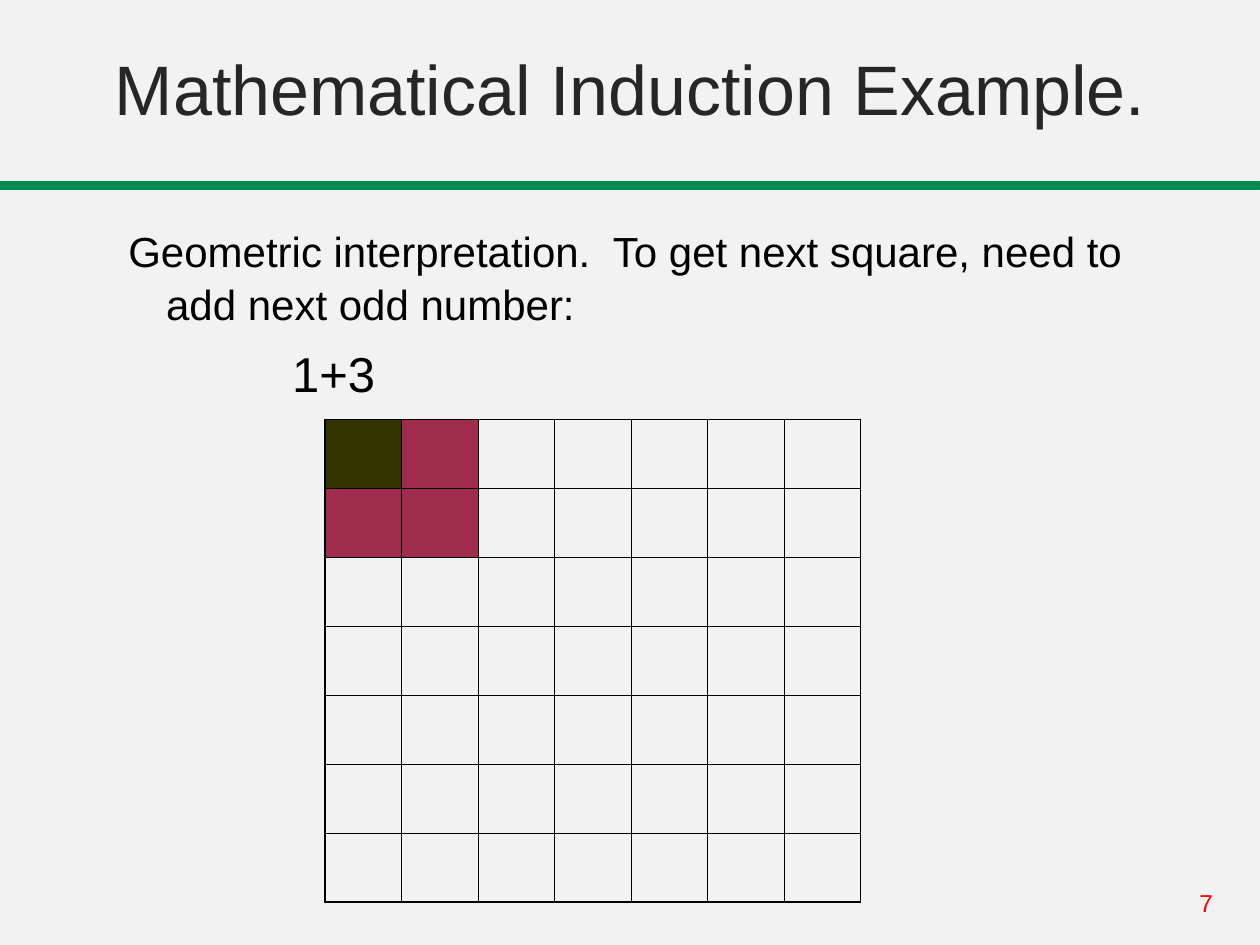
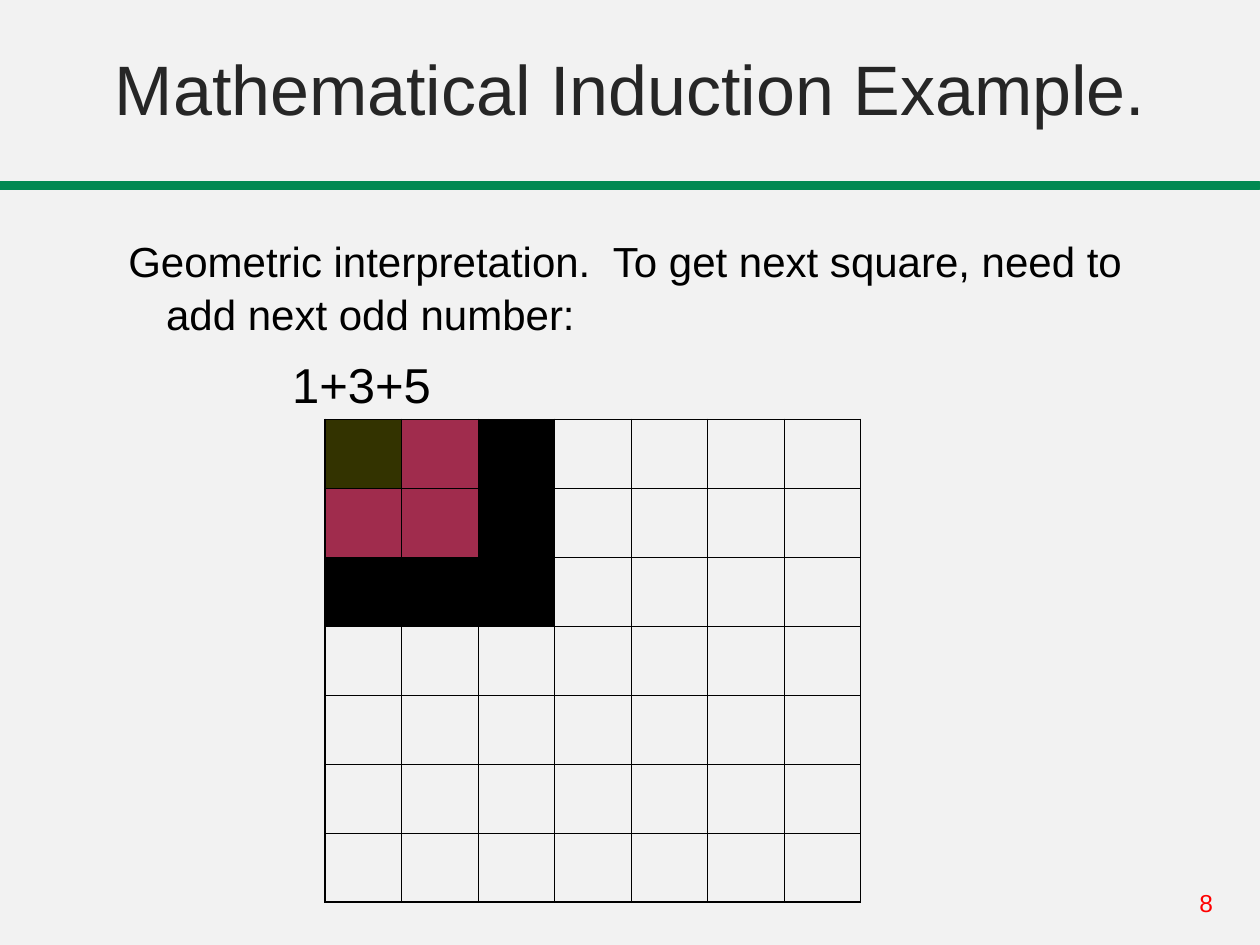
import dataclasses

import lxml.etree
import pptx
import pptx.dml.color
import pptx.enum.shapes
import pptx.enum.text
import pptx.oxml.ns
import pptx.util

PX = 9144  # EMU per px, 100 px to the inch
GRID_SIZE = 7


@dataclasses.dataclass(frozen=True)
class Theme:
    font: str = "Arial"
    background: str = "F2F2F2"
    band: str = "018952"
    title: str = "262626"
    body: str = "000000"
    page_number: str = "FF0000"
    grid_line: str = "000000"
    odd_numbers: tuple = ("333300", "A02C4D", "000000")
    title_size: int = 40
    body_size: int = 24
    sum_size: int = 28
    page_number_size: int = 14
    band_line: float = 1.75
    inner_line: float = 0.45
    outer_line: float = 1.08
    line_spacing: float = 1.05


THEME = Theme()
SLIDE_SIZE = (1000, 750)
TITLE_BOX = (0, 0, 1000, 108)
BAND_BOX = (0, 145, 1000, 5)
BODY_BOX = (92, 150, 825, 292)
GRID_BOX = (258, 333, 425, 383)
PAGE_NUMBER_BOX = (942, 700, 58, 34)


def emu(lengths):
    return [length * PX for length in lengths]


def rgb(colour):
    return pptx.dml.color.RGBColor.from_string(colour)


def add_text_frame(slide, box, anchor=pptx.enum.text.MSO_ANCHOR.TOP):
    frame = slide.shapes.add_textbox(*emu(box)).text_frame
    frame.word_wrap = True
    frame.vertical_anchor = anchor
    return frame


def add_run(paragraph, text, size, colour):
    run = paragraph.add_run()
    run.text = text
    run.font.name = THEME.font
    run.font.size = pptx.util.Pt(size)
    run.font.color.rgb = rgb(colour)


def set_indent(paragraph, left, first_line=0):
    properties = paragraph._p.get_or_add_pPr()
    properties.set("marL", str(left * PX))
    properties.set("indent", str(first_line * PX))


def add_title(slide, box, title):
    paragraph = add_text_frame(slide, box, pptx.enum.text.MSO_ANCHOR.BOTTOM).paragraphs[0]
    paragraph.alignment = pptx.enum.text.PP_ALIGN.CENTER
    add_run(paragraph, title, THEME.title_size, THEME.title)


def add_band(slide, box):
    band = slide.shapes.add_shape(pptx.enum.shapes.MSO_SHAPE.RECTANGLE, *emu(box))
    band.shadow.inherit = False
    band.fill.solid()
    band.fill.fore_color.rgb = rgb(THEME.band)
    band.line.color.rgb = rgb(THEME.band)
    band.line.width = pptx.util.Pt(THEME.band_line)


def add_page_number(slide, box, number):
    paragraph = add_text_frame(slide, box).paragraphs[0]
    add_run(paragraph, str(number), THEME.page_number_size, THEME.page_number)


def add_explanation(slide, box, odd_sum, top_margin):
    frame = add_text_frame(slide, box)
    frame.margin_top = top_margin * PX
    statement = frame.paragraphs[0]
    set_indent(statement, 30, -30)
    statement.line_spacing = THEME.line_spacing
    add_run(statement,
            "Geometric interpretation.  To get next square, need to add next odd number:",
            THEME.body_size, THEME.body)
    total = frame.add_paragraph()
    set_indent(total, 130)
    total.line_spacing = THEME.line_spacing
    total.space_before = pptx.util.Pt(7)
    add_run(total, odd_sum, THEME.sum_size, THEME.body)


def set_borders(cell, row, column):
    """Draw thick lines on the rim of the grid and thin ones inside it."""
    last = GRID_SIZE - 1
    on_rim = {"lnL": column == 0, "lnR": column == last, "lnT": row == 0, "lnB": row == last}
    properties = cell._tc.get_or_add_tcPr()
    qn = pptx.oxml.ns.qn
    for side, rim in on_rim.items():
        width = pptx.util.Pt(THEME.outer_line if rim else THEME.inner_line)
        line = lxml.etree.SubElement(properties, qn(f"a:{side}"), w=str(int(width)))
        fill = lxml.etree.SubElement(line, qn("a:solidFill"))
        lxml.etree.SubElement(fill, qn("a:srgbClr"), val=THEME.grid_line)


def add_square_grid(slide, box, square_side):
    """Colour a square of the given side, one L-shaped layer per odd number."""
    grid = slide.shapes.add_table(GRID_SIZE, GRID_SIZE, *emu(box)).table
    grid.first_row = grid.horz_banding = False
    for column in grid.columns:
        column.width = box[2] * PX // GRID_SIZE
    for row in grid.rows:
        row.height = box[3] * PX // GRID_SIZE
    for row in range(GRID_SIZE):
        for column in range(GRID_SIZE):
            cell = grid.cell(row, column)
            set_borders(cell, row, column)
            layer = max(row, column)
            if layer < square_side:
                cell.fill.solid()
                cell.fill.fore_color.rgb = rgb(THEME.odd_numbers[layer])
            else:
                cell.fill.background()


def add_induction_slide(deck, page, square_side, top_margin):
    slide = deck.slides.add_slide(deck.slide_layouts[6])
    slide.background.fill.solid()
    slide.background.fill.fore_color.rgb = rgb(THEME.background)
    odd_sum = "+".join(str(2 * layer + 1) for layer in range(square_side))
    add_band(slide, BAND_BOX)
    add_page_number(slide, PAGE_NUMBER_BOX, page)
    add_title(slide, TITLE_BOX, "Mathematical Induction Example.")
    add_explanation(slide, BODY_BOX, odd_sum, top_margin)
    add_square_grid(slide, GRID_BOX, square_side)


def main():
    deck = pptx.Presentation()
    deck.slide_width, deck.slide_height = emu(SLIDE_SIZE)
    add_induction_slide(deck, page=7, square_side=2, top_margin=27)
    add_induction_slide(deck, page=8, square_side=3, top_margin=35)
    deck.save("out.pptx")


if __name__ == "__main__":
    main()
